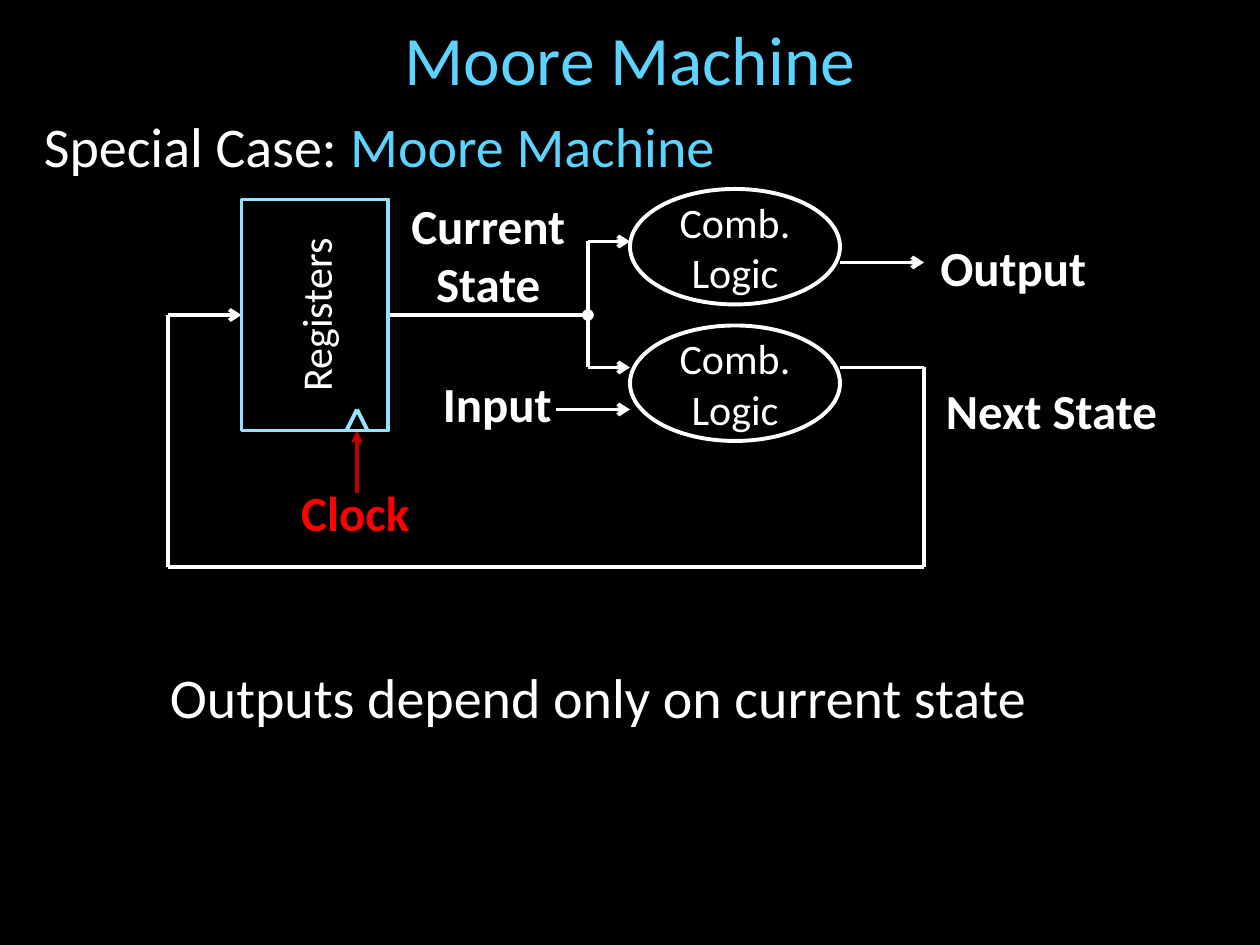
import pptx
import pptx.util
import pptx.dml.color
import pptx.enum.shapes
import pptx.enum.text
import pptx.oxml.ns
import lxml.etree

Pt = pptx.util.Pt
RGB = pptx.dml.color.RGBColor
SHAPE = pptx.enum.shapes.MSO_SHAPE
ALIGN = pptx.enum.text.PP_ALIGN
ANCHOR = pptx.enum.text.MSO_ANCHOR
qn = pptx.oxml.ns.qn

BLACK = RGB(0x00, 0x00, 0x00)
WHITE = RGB(0xFF, 0xFF, 0xFF)
SKY = RGB(0x5D, 0xD4, 0xFF)
PALE = RGB(0x93, 0xE2, 0xFF)
RED = RGB(0xFF, 0x00, 0x00)
BRICK = RGB(0xC0, 0x00, 0x00)

# Headings and statement: runs of (text, colour), box, size, format
PROSE = [
    ([("Moore Machine", SKY)], (18, 12, 684, 42), 39.6,
     dict(align=ALIGN.CENTER, anchor=ANCHOR.MIDDLE)),
    ([("Special Case: ", WHITE), ("Moore Machine", SKY)],
     (18, 60, 684, 48), 32, {}),
    ([("Outputs depend only on current state", WHITE)],
     (90, 375, 612, 48), 32, {}),
]

# Signal names: text, colour, box, alignment
LABELS = [
    ("Next State", WHITE, (533.5, 214, 150, 41), ALIGN.LEFT),
    ("Current State", WHITE, (210, 108, 138, 75), ALIGN.CENTER),
    ("Input", WHITE, (246, 210, 90, 41), ALIGN.LEFT),
    ("Output", WHITE, (504, 132, 150, 41), ALIGN.CENTER),
    ("Clock", RED, (165, 272, 90, 41), ALIGN.LEFT),
]

# Key columns and rows of the circuit
LOOP_L, REG_L, REG_R, FORK, LOGIC_L, LOGIC_R, LOOP_R = (
    96, 138, 222, 336, 360, 480, 528)
REG_T, MID, REG_B, BASE = 114, 180, 246, 324
OUT_Y, HIGH, LOW, IN_Y = 150, 138, 210, 234
CLK = 204

# Blocks: kind, text, box, outline, text direction
BLOCKS = [
    (SHAPE.RECTANGLE, "Registers",
     (REG_L, REG_T, REG_R - REG_L, REG_B - REG_T), PALE, "vert270"),
] + [
    (SHAPE.OVAL, "Comb.\vLogic", (LOGIC_L, top, LOGIC_R - LOGIC_L, 66),
     WHITE, "horz")
    for top in (108, 186)
]

# Wires: points along the path, colour, end mark
WIRES = [
    ([(LOGIC_R, LOW), (LOOP_R, LOW), (LOOP_R, BASE), (LOOP_L, BASE),
      (LOOP_L, MID), (REG_L, MID)], WHITE, "arrow"),
    ([(REG_R, MID), (FORK, MID)], WHITE, "oval"),
    ([(FORK, HIGH), (FORK, LOW)], WHITE, None),
    ([(FORK, HIGH), (LOGIC_L, HIGH)], WHITE, "arrow"),
    ([(FORK, LOW), (LOGIC_L, LOW)], WHITE, "arrow"),
    ([(318, IN_Y), (LOGIC_L, IN_Y)], WHITE, "arrow"),
    ([(LOGIC_R, OUT_Y), (LOOP_R, OUT_Y)], WHITE, "arrow"),
    ([(CLK - 6, REG_B), (CLK, IN_Y), (CLK + 6, REG_B)], PALE, None),
    ([(CLK, 282), (CLK, REG_B)], BRICK, "triangle"),
]


def write(shape, runs, size=24, bold=False, align=ALIGN.LEFT,
          anchor=ANCHOR.TOP, turn="horz"):
    frame = shape.text_frame
    frame.word_wrap = True
    frame.vertical_anchor = anchor
    frame._txBody.bodyPr.set("vert", turn)
    para = frame.paragraphs[0]
    para.alignment = align
    for text, ink in runs:
        for num, part in enumerate(text.split("\v")):
            if num:
                para.add_line_break()
            run = para.add_run()
            run.text = part
            run.font.name = "Calibri"
            run.font.size = Pt(size)
            run.font.bold = bold
            run.font.color.rgb = ink


def wire(slide, start, end, ink, mark=None):
    line = slide.shapes.add_connector(
        pptx.enum.shapes.MSO_CONNECTOR.STRAIGHT,
        *[Pt(v) for v in start + end])
    line.line.color.rgb = ink
    line.line.width = Pt(2.25)
    if mark:
        tail = lxml.etree.SubElement(line.line._get_or_add_ln(),
                                     qn("a:tailEnd"))
        tail.set("type", mark)
    lxml.etree.SubElement(line._element.spPr, qn("a:effectLst"))


def main():
    deck = pptx.Presentation()
    deck.slide_width, deck.slide_height = Pt(720), Pt(540)
    slide = deck.slides.add_slide(deck.slide_layouts[6])
    slide.background.fill.solid()
    slide.background.fill.fore_color.rgb = BLACK

    # Title, subtitle and closing statement
    for runs, box, size, form in PROSE:
        area = slide.shapes.add_textbox(*[Pt(v) for v in box])
        write(area, runs, size=size, **form)

    # Wires, marked only on their last leg
    for path, ink, mark in WIRES:
        last = len(path) - 2
        for num, (start, end) in enumerate(zip(path, path[1:])):
            wire(slide, start, end, ink, mark if num == last else None)

    # Register and logic blocks
    for kind, text, box, ink, turn in BLOCKS:
        block = slide.shapes.add_shape(kind, *[Pt(v) for v in box])
        block.shadow.inherit = False
        block.fill.background()
        block.line.color.rgb = ink
        block.line.width = Pt(2.25)
        write(block, [(text, WHITE)], align=ALIGN.CENTER,
              anchor=ANCHOR.MIDDLE, turn=turn)

    # Signal names
    for text, ink, box, align in LABELS:
        area = slide.shapes.add_textbox(*[Pt(v) for v in box])
        write(area, [(text, ink)], size=28, bold=True, align=align)

    deck.save("out.pptx")


if __name__ == "__main__":
    main()
